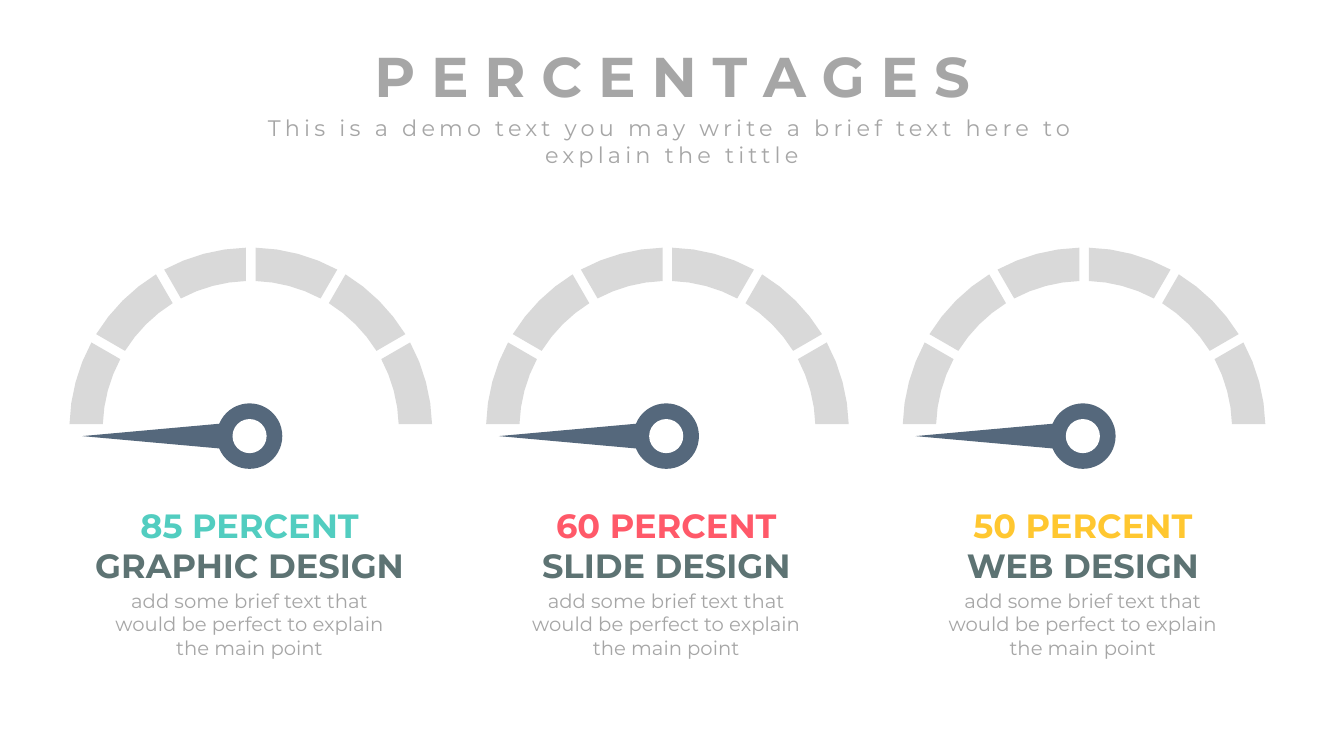
"""Build a slide with three gauges, each above a percentage, a heading and a short text."""
from math import asin, cos, pi, sin

from pptx import Presentation
from pptx.dml.color import RGBColor
from pptx.enum.shapes import MSO_SHAPE
from pptx.enum.text import MSO_AUTO_SIZE, PP_ALIGN
from pptx.util import Cm, Pt

DONUT, OVAL = MSO_SHAPE.DONUT, MSO_SHAPE.OVAL
CENTER = PP_ALIGN.CENTER
GROW = MSO_AUTO_SIZE.SHAPE_TO_FIT_TEXT

FONT = "Montserrat"
COLORS = {
    "teal": "52CDC0",
    "red": "FF5969",
    "yellow": "FFC730",
    "heading": "5D7373",
    "gray": "A6A6A6",
    "band": "D9D9D9",
    "needle": "55687C",
    "white": "FFFFFF",
}

TITLE = "P E R C E N T A G E S"
SUBTITLE = "This is a demo text you may write a brief text here to explain the tittle"
DETAIL = "add some brief text that would be perfect to explain the main point"
SKILLS = [
    ("85 PERCENT", "GRAPHIC DESIGN", "teal"),
    ("60 PERCENT", "SLIDE DESIGN", "red"),
    ("50 PERCENT", "WEB DESIGN", "yellow"),
]

SLIDE_WIDTH, SLIDE_HEIGHT = 33.87, 19.05
FIRST_GAUGE_X, GAUGE_PITCH = 6.29, 10.5
BAND_SHIFT, BAND_Y, OUTER_RADIUS, INNER_RADIUS, HALF_GAP = 0.03, 10.81, 4.57, 3.73, 0.12
BAND_COUNT, BAND_STEPS, NEEDLE_STEPS = 6, 4, 2
HUB_Y, HUB_SIZE, HOLE_SIZE = 10.99, 1.65, 0.86
NEEDLE_LENGTH, NEEDLE_END_X, NEEDLE_RADIUS = 4.22, -0.11, 0.37

prs = Presentation()
prs.slide_width, prs.slide_height = Cm(SLIDE_WIDTH), Cm(SLIDE_HEIGHT)
slide = prs.slides.add_slide(prs.slide_layouts[6])


def paint(shape, color):
    shape.shadow.inherit = False
    shape.fill.solid()
    shape.fill.fore_color.rgb = RGBColor.from_string(COLORS[color])
    shape.line.fill.background()


def add_outline(points, color):
    start, *rest = [(Cm(x), Cm(y)) for x, y in points]
    builder = slide.shapes.build_freeform(*start)
    builder.add_line_segments(rest, close=True)
    paint(builder.convert_to_shape(), color)


def add_round(kind, x, y, size, color):
    shape = slide.shapes.add_shape(
        kind, Cm(x - size / 2), Cm(y - size / 2), Cm(size), Cm(size))
    paint(shape, color)
    return shape


def arc(x, y, radius, start, end, steps):
    angles = [start + (end - start) * i / steps for i in range(steps + 1)]
    return [(x + radius * cos(a), y - radius * sin(a)) for a in angles]


def add_gauge(x):
    sweep = pi / BAND_COUNT
    outer_trim, inner_trim = asin(HALF_GAP / OUTER_RADIUS), asin(HALF_GAP / INNER_RADIUS)
    band_x = x + BAND_SHIFT
    for band in range(BAND_COUNT):
        start, end = band * sweep, (band + 1) * sweep
        outer = arc(band_x, BAND_Y, OUTER_RADIUS, start + outer_trim, end - outer_trim, BAND_STEPS)
        inner = arc(band_x, BAND_Y, INNER_RADIUS, end - inner_trim, start + inner_trim, BAND_STEPS)
        add_outline(outer + inner, "band")
    hub = add_round(DONUT, x, HUB_Y, HUB_SIZE, "needle")
    hub.adjustments[0] = 0.42
    needle_end = arc(x + NEEDLE_END_X, HUB_Y, NEEDLE_RADIUS, pi / 2, -pi / 2, NEEDLE_STEPS)
    add_outline([(x - NEEDLE_LENGTH, HUB_Y)] + needle_end, "needle")
    add_round(OVAL, x, HUB_Y, HOLE_SIZE, "white")


def add_text(text, x, top, width, height, size, color, bold=False, spacing=0):
    box = slide.shapes.add_textbox(Cm(x - width / 2), Cm(top), Cm(width), Cm(height))
    frame = box.text_frame
    frame.word_wrap = True
    frame.auto_size = GROW
    paragraph = frame.paragraphs[0]
    paragraph.alignment = CENTER
    run = paragraph.add_run()
    run.text = text
    run.font.name, run.font.size, run.font.bold = FONT, Pt(size), bold
    run.font.color.rgb = RGBColor.from_string(COLORS[color])
    if spacing:
        run.font._element.set("spc", str(spacing * 100))


add_text(TITLE, SLIDE_WIDTH / 2, 0.93, 20.22, 1.96, 40, "gray", bold=True)
add_text(SUBTITLE, SLIDE_WIDTH / 2, 2.76, 21.69, 1.63, 16, "gray", spacing=3)
for column, (percent, heading, color) in enumerate(SKILLS):
    gauge_x = FIRST_GAUGE_X + column * GAUGE_PITCH
    add_gauge(gauge_x)
    add_text(percent, gauge_x, 12.6, 6.22, 1.27, 24, color, bold=True)
    add_text(heading, gauge_x, 13.61, 8.6, 1.27, 24, "heading", bold=True)
    add_text(DETAIL, gauge_x, 14.71, 8.03, 2.06, 14, "gray")

prs.save("out.pptx")
